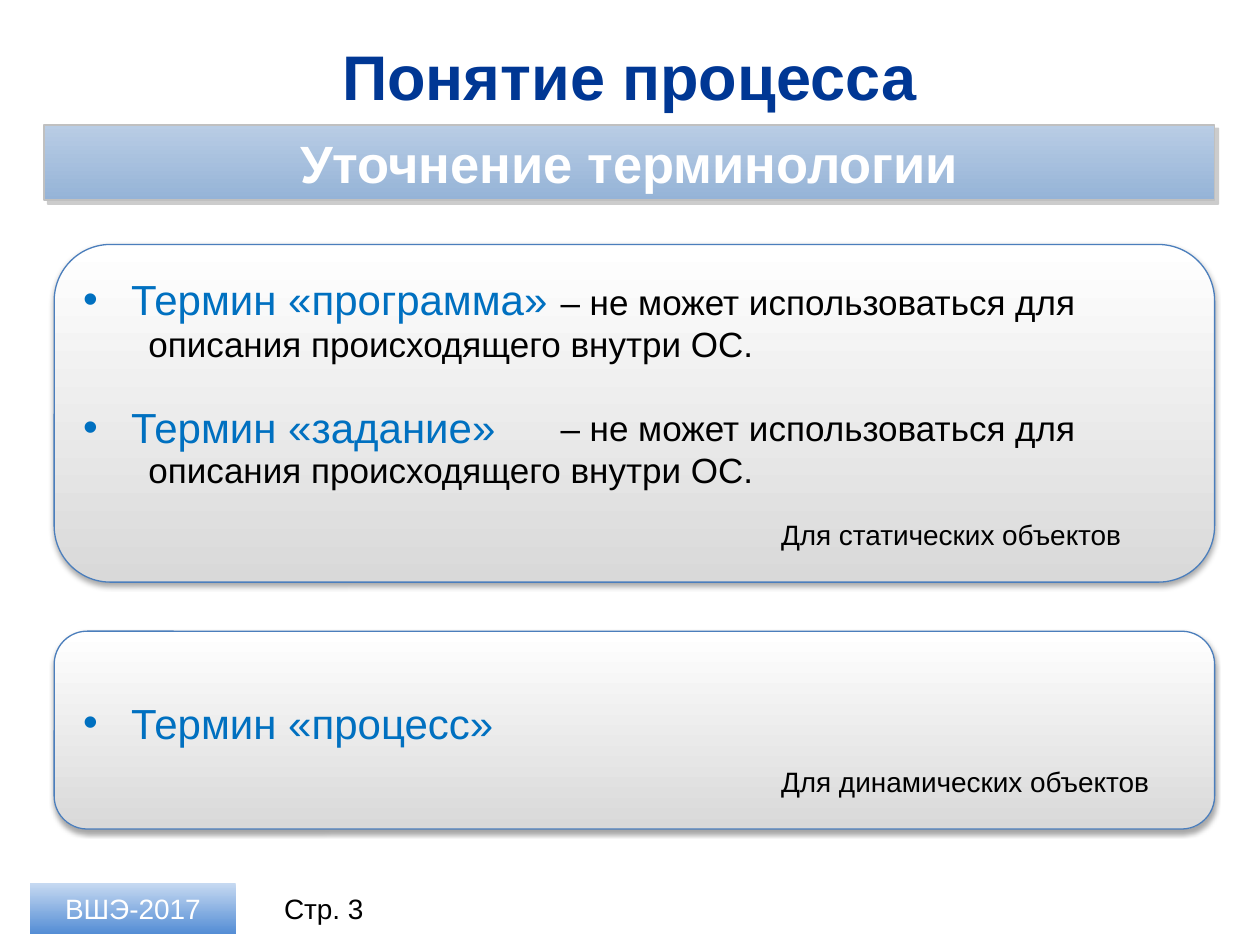
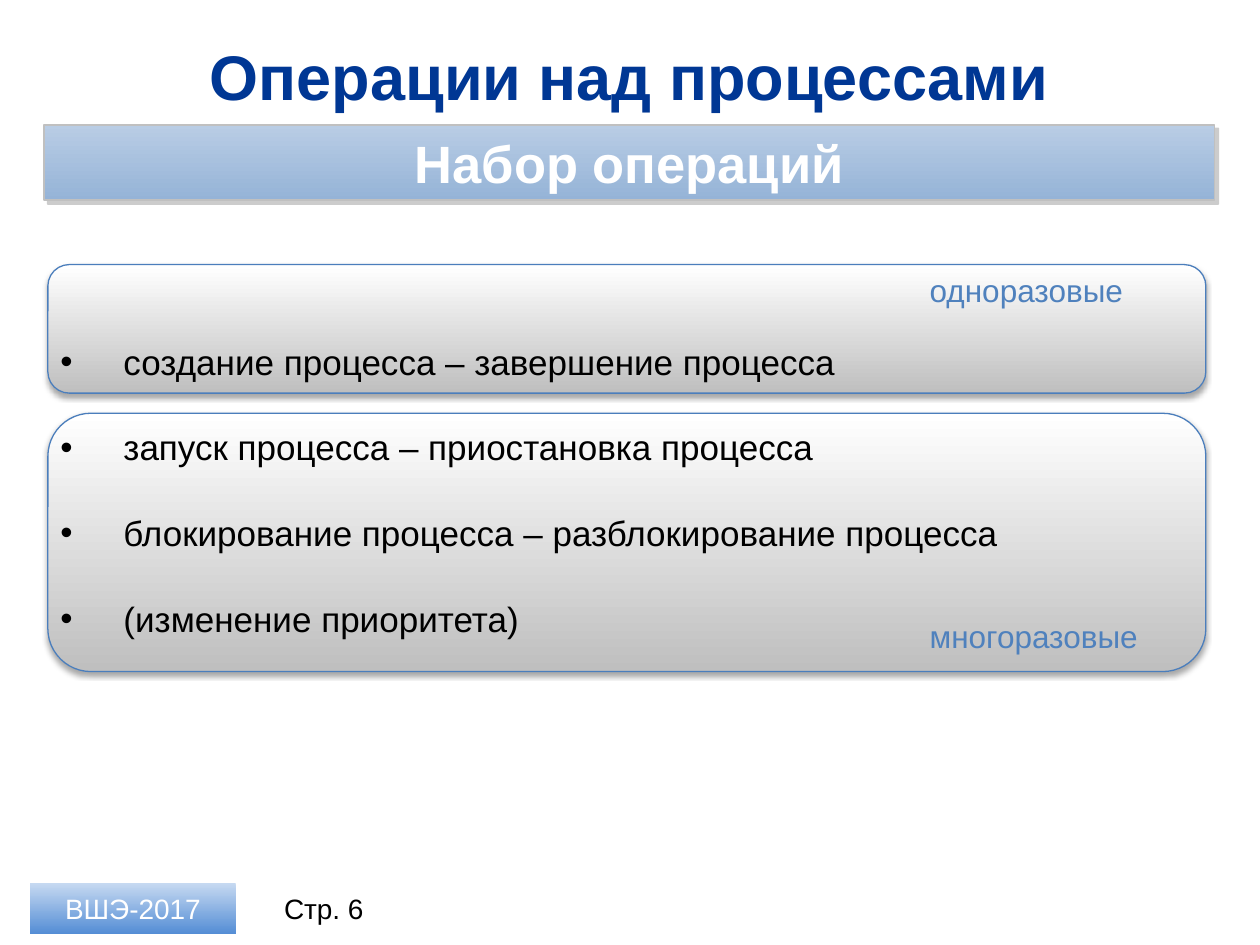
"""Build two slides about processes in an operating system."""
from lxml import etree
from pptx import Presentation
from pptx.dml.color import RGBColor
from pptx.enum.shapes import MSO_SHAPE
from pptx.enum.text import MSO_ANCHOR, MSO_AUTO_SIZE, PP_ALIGN
from pptx.oxml.ns import qn
from pptx.util import Inches, Pt

RECT, ROUND = MSO_SHAPE.RECTANGLE, MSO_SHAPE.ROUNDED_RECTANGLE
CENTER, LEFT = PP_ALIGN.CENTER, PP_ALIGN.LEFT
MIDDLE, TOP = MSO_ANCHOR.MIDDLE, MSO_ANCHOR.TOP
NO_FIT = MSO_AUTO_SIZE.NONE

FONT = "Arial"
NAVY, BLUE, LABEL_BLUE = "003794", "0070C0", "4F81BD"
BLACK, WHITE = "000000", "FFFFFF"
CARD_LINE, BAND_LINE = "4B7EBC", "C0C0C0"
BAND_FILL, FOOTER_FILL = ("B9CDE5", "95B3D7"), ("C6D9F1", "558ED5")
CARD_SHADOW = (BLACK, 35, 3.1, 1.8, 90)
BAND_SHADOW = ("808080", 40, 0, 3, 45)
TITLE_BOX = (0.35, 0.26, 9.29, 0.68)
BAND_BOX = (0.35, 0.99, 9.29, 0.6)
FOOTER_BOX = (0.24, 7.01, 1.63, 0.4)
PAGE_BOX = (2.03, 7.01, 1.08, 0.4)
FOOTER = "ВШЭ-2017"

DEFINITION = "– не может использоваться для описания происходящего внутри ОС."
SLIDES = [
    {
        "title": "Понятие процесса",
        "band": "Уточнение терминологии",
        "page": "Стр. 3",
        "card_fill": (WHITE, "D9D9D9"),
        "cards": [(0.43, 1.94, 9.21, 2.68), (0.43, 5.01, 9.21, 1.57)],
        "list_box": (0.56, 2.12, 3.92, 3.87),
        "list_style": {"size": 24, "color": BLUE, "indent": (0.38, -0.38)},
        "items": ["Термин «программа»", "Термин «задание»", "Термин «процесс»"],
        "gaps": [0, 44.5, 140],
        "definitions": [DEFINITION, DEFINITION],
        "label_style": {"size": 16, "color": BLACK},
        "labels": [
            ("Для статических объектов", (6.1, 4.06, 3.39, 0.37)),
            ("Для динамических объектов", (6.1, 6.02, 3.39, 0.37)),
        ],
    },
    {
        "title": "Операции над процессами",
        "band": "Набор операций",
        "page": "Стр. 6",
        "card_fill": (WHITE, "BFBFBF"),
        "cards": [(0.38, 2.1, 9.19, 1.02), (0.38, 3.28, 9.19, 2.05)],
        "list_box": (0.38, 2.65, 9.27, 2.46),
        "list_style": {"size": 20, "color": BLACK, "indent": (0.5, -0.5)},
        "items": [
            "создание процесса – завершение процесса",
            "запуск процесса – приостановка процесса",
            "блокирование процесса – разблокирование процесса",
            "(изменение приоритета)",
        ],
        "gaps": [0, 25, 25, 25],
        "definitions": [],
        "label_style": {"size": 18, "color": LABEL_BLUE},
        "labels": [
            ("одноразовые", (7.28, 2.1, 1.89, 0.4)),
            ("многоразовые", (7.28, 4.85, 1.89, 0.4)),
        ],
    },
]


def rgb(color):
    return RGBColor.from_string(color)


def inches(box):
    return [Inches(v) for v in box]


def write(sp, lines, size, color, bold=False, align=LEFT, anchor=TOP,
          indent=None, gaps=None, pitch=None):
    tf = sp.text_frame
    tf.word_wrap, tf.auto_size, tf.vertical_anchor = True, NO_FIT, anchor
    for i, line in enumerate(lines):
        p = tf.add_paragraph() if i else tf.paragraphs[0]
        p.text, p.alignment = line, align
        p.space_before = Pt(gaps[i] if gaps else 0)
        if pitch:
            p.line_spacing = Pt(pitch)
        if indent:
            margin, first = inches(indent)
            pPr = p._p.get_or_add_pPr()
            pPr.set("marL", str(margin))
            pPr.set("indent", str(first))
        p.font.name, p.font.size, p.font.bold = FONT, Pt(size), bold
        p.font.color.rgb = rgb(color)


def place(sp, box):
    sp.left, sp.top, sp.width, sp.height = inches(box)


def add_text(s, box, lines, **style):
    write(s.shapes.add_textbox(*inches(box)), lines, **style)


def add_shadow(sp, color, opacity, blur, dist, angle):
    effects = sp._element.spPr.find(qn("a:effectLst"))
    shadow = etree.SubElement(
        effects, qn("a:outerShdw"), blurRad=str(Pt(blur)), dist=str(Pt(dist)),
        dir=str(angle * 60000), algn="tl", rotWithShape="0")
    clr = etree.SubElement(shadow, qn("a:srgbClr"), val=color)
    etree.SubElement(clr, qn("a:alpha"), val=str(opacity * 1000))


def add_panel(s, kind, box, colors, line=None, width=1, shadow=None):
    sp = s.shapes.add_shape(kind, *inches(box))
    sp.shadow.inherit = False
    sp.fill.gradient()
    sp.fill.gradient_angle = 270
    for stop, color in zip(sp.fill.gradient_stops, colors):
        stop.color.rgb = rgb(color)
    if line:
        sp.line.color.rgb, sp.line.width = rgb(line), Pt(width)
    else:
        sp.line.fill.background()
    if shadow:
        add_shadow(sp, *shadow)
    return sp


def add_frame(s, data):
    title = s.shapes.title
    place(title, TITLE_BOX)
    write(title, [data["title"]], 36, NAVY, True, CENTER, MIDDLE)
    band = add_panel(s, RECT, BAND_BOX, BAND_FILL, BAND_LINE, 1, BAND_SHADOW)
    write(band, [data["band"]], 30, WHITE, True, CENTER, MIDDLE)
    footer = add_panel(s, RECT, FOOTER_BOX, FOOTER_FILL)
    write(footer, [FOOTER], 16, WHITE, align=CENTER, anchor=MIDDLE)
    add_text(s, PAGE_BOX, [data["page"]], size=16, color=BLACK,
             align=CENTER, anchor=MIDDLE)


def add_slide(prs, data):
    s = prs.slides.add_slide(prs.slide_layouts[1])
    add_frame(s, data)
    for box in data["cards"]:
        add_panel(s, ROUND, box, data["card_fill"], CARD_LINE, 0.75, CARD_SHADOW)
    body = s.placeholders[1]
    s.shapes._spTree.append(body._element)
    place(body, data["list_box"])
    write(body, data["items"], gaps=data["gaps"], **data["list_style"])
    if data["definitions"]:
        add_text(s, (0.58, 2.18, 8.58, 1.78), data["definitions"], size=20,
                 color=BLACK, indent=(0.5, 3.27), gaps=[0, 24], pitch=24)
    for text, box in data["labels"]:
        add_text(s, box, [text], **data["label_style"])


def main():
    prs = Presentation()
    prs.slide_width, prs.slide_height = Inches(10), Inches(7.5)
    for data in SLIDES:
        add_slide(prs, data)
    prs.save("out.pptx")


if __name__ == "__main__":
    main()
